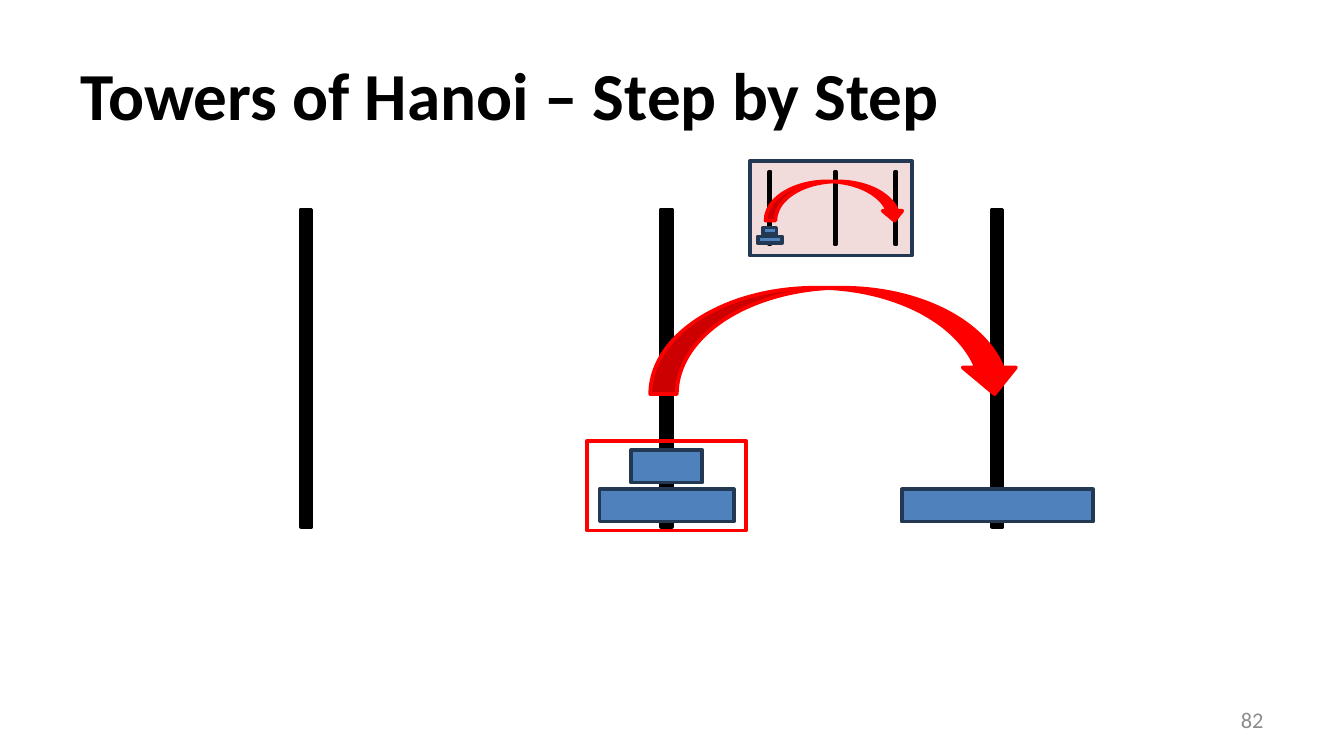
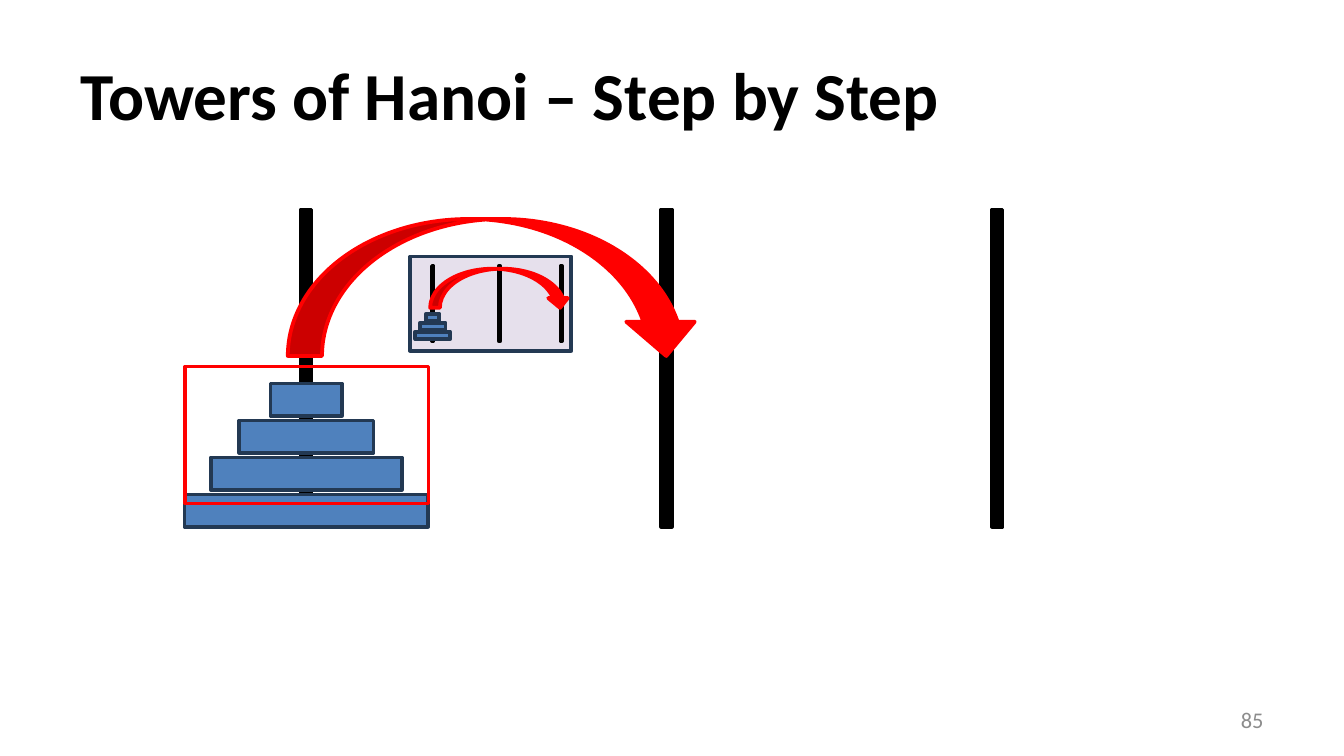
from dataclasses import dataclass
from typing import Any, NamedTuple, Optional

from pptx import Presentation
from pptx.dml.color import RGBColor
from pptx.enum.shapes import MSO_SHAPE
from pptx.enum.text import MSO_ANCHOR, MSO_AUTO_SIZE, PP_ALIGN
from pptx.util import Cm, Pt

RECTANGLE = MSO_SHAPE.RECTANGLE
CURVED_ARROW = MSO_SHAPE.CURVED_DOWN_ARROW
MIDDLE = MSO_ANCHOR.MIDDLE
NO_AUTOFIT = MSO_AUTO_SIZE.NONE
LEFT, RIGHT = PP_ALIGN.LEFT, PP_ALIGN.RIGHT

TITLE_ONLY = 5
COLORS = {
    "black": "000000",
    "disk": "4F81BD",
    "outline": "233953",
    "move": "FF0000",
    "number": "8C8C8C",
    "rose": "F2DCDB",
    "lilac": "E6E0EC",
}
TITLE = "Towers of Hanoi – Step by Step"
TITLE_FONT = {"name": "Calibri", "size": Pt(36), "bold": True}
NUMBER_FONT = {"name": "Calibri", "size": Pt(12), "bold": False}


class Box(NamedTuple):
    """Left, top, width and height in centimetres."""
    left: float
    top: float
    width: float
    height: float


TITLE_BOX = Box(1.27, 0.58, 22.86, 2.39)
NUMBER_BOX = Box(18.21, 13.23, 5.92, 0.76)


class Stack(NamedTuple):
    """Disk widths on one peg, from the bottom up."""
    peg: int
    widths: tuple[float, ...]


@dataclass
class Puzzle:
    """Pegs, disks and one move; lengths in centimetres from its own corner."""
    peg_centers: tuple[float, float, float]
    peg_top: float
    peg_width: float
    peg_height: float
    disk_height: float
    lowest_disk_top: float
    disk_step: float
    stacks: list[Stack]
    move: Box
    moved_frame: Optional[Box] = None


@dataclass
class Inset:
    """A small panel with the move seen as a puzzle of its own."""
    panel: Box
    color: str
    puzzle: Puzzle


@dataclass
class Step:
    number: str
    puzzle: Puzzle
    inset: Inset


def main_puzzle(lowest_disk_top: float, disk_step: float, stacks: list[Stack],
                move: Box, moved_frame: Box) -> Puzzle:
    return Puzzle((5.79, 12.6, 18.85), 3.96, 0.2, 6, 0.61,
                  lowest_disk_top, disk_step, stacks, move, moved_frame)


STEPS = [
    Step(
        "82",
        main_puzzle(9.25, 0.74, [Stack(2, (3.61,)), Stack(1, (2.54, 1.35))],
                    Box(12.29, 5.44, 7.01, 2.01), Box(11.1, 8.33, 3, 1.7)),
        Inset(Box(14.17, 3.05, 3.07, 1.78), "rose",
              Puzzle((0.38, 1.62, 2.76), 0.2, 0.03, 1.37, 0.13, 1.42, 0.17,
                     [Stack(0, (0.46, 0.25))], Box(0.3, 0.38, 2.62, 0.74))),
    ),
    Step(
        "85",
        main_puzzle(9.35, 0.7, [Stack(0, (4.6, 3.61, 2.54, 1.35))],
                    Box(5.44, 4.14, 7.8, 2.59), Box(3.5, 6.93, 4.6, 2.59)),
        Inset(Box(7.75, 4.85, 3.05, 1.78), "lilac",
              Puzzle((0.43, 1.69, 2.86), 0.18, 0.03, 1.42, 0.14, 1.42, 0.17,
                     [Stack(0, (0.66, 0.48, 0.25))], Box(0.38, 0.23, 2.64, 0.74))),
    ),
]


def rgb(color: str) -> RGBColor:
    return RGBColor.from_string(COLORS[color])


def place(target: Any, box: Box) -> None:
    for side, length in box._asdict().items():
        setattr(target, side, Cm(length))


def add_figure(shapes: Any, preset: Any, box: Box, fill: Optional[str], line: str) -> None:
    figure = shapes.add_shape(preset, *map(Cm, box))
    figure.shadow.inherit = False
    if fill:
        figure.fill.solid()
        figure.fill.fore_color.rgb = rgb(fill)
    else:
        figure.fill.background()
    figure.line.color.rgb = rgb(line)
    figure.line.width = Pt(2)


def write(holder: Any, text: str, font_format: dict, color: str, alignment: Any) -> None:
    frame = holder.text_frame
    frame.text = text
    for name, value in {"word_wrap": True, "auto_size": NO_AUTOFIT,
                        "vertical_anchor": MIDDLE}.items():
        setattr(frame, name, value)
    paragraph = frame.paragraphs[0]
    paragraph.alignment = alignment
    font = paragraph.runs[0].font
    for name, value in font_format.items():
        setattr(font, name, value)
    font.color.rgb = rgb(color)


def draw_puzzle(shapes: Any, puzzle: Puzzle, x: float = 0, y: float = 0) -> None:
    """Draw the puzzle with its corner at x, y."""
    def add(preset: Any, box: Box, fill: Optional[str], line: str) -> None:
        moved = box._replace(left=x + box.left, top=y + box.top)
        add_figure(shapes, preset, moved, fill, line)

    for center in puzzle.peg_centers:
        add(RECTANGLE, Box(center - puzzle.peg_width / 2, puzzle.peg_top,
                           puzzle.peg_width, puzzle.peg_height), "black", "black")
    for stack in puzzle.stacks:
        center = puzzle.peg_centers[stack.peg]
        for level, width in enumerate(stack.widths):
            top = puzzle.lowest_disk_top - level * puzzle.disk_step
            add(RECTANGLE, Box(center - width / 2, top, width, puzzle.disk_height),
                "disk", "outline")
    if puzzle.moved_frame:
        add(RECTANGLE, puzzle.moved_frame, None, "move")
    add(CURVED_ARROW, puzzle.move, "move", "move")


def draw_inset(shapes: Any, inset: Inset) -> None:
    group = shapes.add_group_shape()
    add_figure(group.shapes, RECTANGLE, inset.panel, inset.color, "outline")
    draw_puzzle(group.shapes, inset.puzzle, inset.panel.left, inset.panel.top)


def add_step(deck: Any, step: Step) -> None:
    slide = deck.slides.add_slide(deck.slide_layouts[TITLE_ONLY])
    title = slide.shapes.title
    place(title, TITLE_BOX)
    write(title, TITLE, TITLE_FONT, "black", LEFT)
    page_number = slide.shapes.add_textbox(*map(Cm, NUMBER_BOX))
    write(page_number, step.number, NUMBER_FONT, "number", RIGHT)
    draw_puzzle(slide.shapes, step.puzzle)
    draw_inset(slide.shapes, step.inset)


def main() -> None:
    deck = Presentation()
    deck.slide_width, deck.slide_height = Cm(25.4), Cm(14.29)
    for step in STEPS:
        add_step(deck, step)
    deck.save("out.pptx")


if __name__ == "__main__":
    main()
